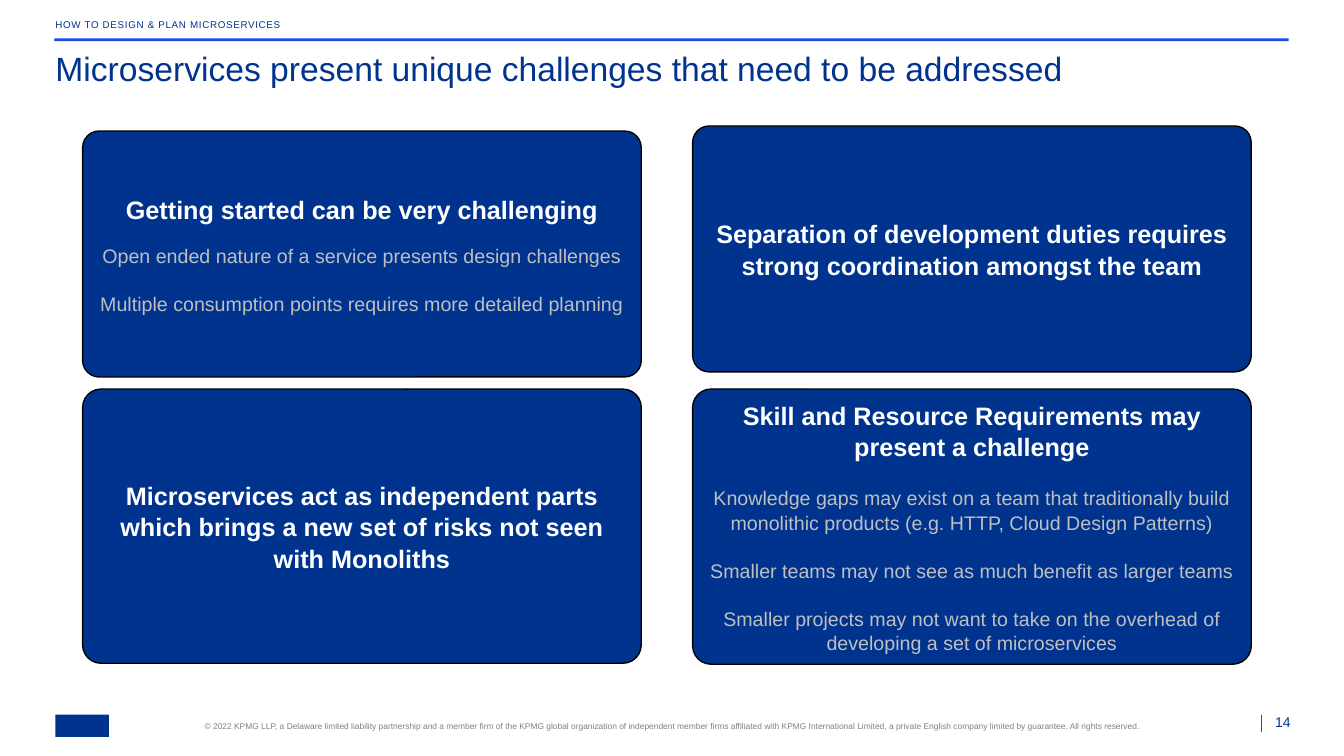
import pptx
import pptx.util
import pptx.dml.color
import pptx.enum.shapes
import pptx.enum.text
from lxml import etree

Inches, Pt = pptx.util.Inches, pptx.util.Pt
ALIGN = pptx.enum.text.PP_ALIGN
ANCHOR = pptx.enum.text.MSO_ANCHOR
SHAPE = pptx.enum.shapes.MSO_SHAPE

# Content
SECTION = "HOW TO DESIGN & PLAN MICROSERVICES"
TITLE = "Microservices present unique challenges that need to be addressed"
COPYRIGHT = (
    "© 2022 KPMG LLP, a Delaware limited liability partnership and a member firm "
    "of the KPMG global organization of independent member firms affiliated with "
    "KPMG International Limited, a private English company limited by guarantee. "
    "All rights reserved."
)
PAGE = "14"
# Each challenge: column, top, height, heading, gap under heading (pt), details
CHALLENGES = [
    (0, 1.3, 2.44, "Getting started can be very challenging", 13.2, [
        "Open ended nature of a service presents design challenges",
        "Multiple consumption points requires more detailed planning",
    ]),
    (1, 1.25, 2.44, "Separation of development duties requires strong "
     "coordination amongst the team", 0, []),
    (0, 3.86, 2.72, "Microservices act as independent parts which brings a new "
     "set of risks not seen with Monoliths", 0, []),
    (1, 3.86, 2.73, "Skill and Resource Requirements may present a challenge", 16.8, [
        "Knowledge gaps may exist on a team that traditionally build monolithic "
        "products (e.g. HTTP, Cloud Design Patterns)",
        "Smaller teams may not see as much benefit as larger teams",
        "Smaller projects may not want to take on the overhead of developing a "
        "set of microservices",
    ]),
]
COLORS = {"navy": "00338D", "blue": "1E49E2", "white": "FFFFFF",
          "silver": "BFBFBF", "gray": "808080", "black": "000000"}

# Layout
MARGIN, CONTENT_WIDTH = 0.55, 12.24
CARD_LEFT, CARD_STEP, CARD_WIDTH = 0.82, 6.05, 5.54
CORNER, CARD_INSET = 0.067, 0.06
DETAIL_GAP, LINE_SPACING = 16.8, 1.04


def color(name):
    return pptx.dml.color.RGBColor.from_string(COLORS[name])


def style(paragraph, size, color_name, align=ALIGN.LEFT, bold=False):
    paragraph.alignment = align
    for run in paragraph.runs:
        run.font.name = "Arial"
        run.font.size = Pt(size)
        run.font.bold = bold
        run.font.color.rgb = color(color_name)


def set_frame(frame, anchor, inset=0):
    frame.word_wrap = True
    frame.auto_size = pptx.enum.text.MSO_AUTO_SIZE.NONE
    frame.vertical_anchor = anchor
    frame.margin_left = frame.margin_right = Inches(inset)
    frame.margin_top = frame.margin_bottom = Inches(inset)


def add_label(slide, box, text, size, color_name, align, anchor):
    label = slide.shapes.add_textbox(*map(Inches, box))
    set_frame(label.text_frame, anchor)
    label.text_frame.text = text
    paragraph = label.text_frame.paragraphs[0]
    style(paragraph, size, color_name, align)
    return paragraph


def add_block(slide, kind, box, fill, outline=None):
    block = slide.shapes.add_shape(kind, *map(Inches, box))
    block.shadow.inherit = False
    block.fill.solid()
    block.fill.fore_color.rgb = color(fill)
    if outline:
        block.line.color.rgb = color(outline)
        block.line.width = Pt(1)
    else:
        block.line.fill.background()
    return block


def add_card(slide, column, top, height, heading, heading_gap, details):
    left = CARD_LEFT + column * CARD_STEP
    card = add_block(slide, SHAPE.ROUNDED_RECTANGLE,
                     (left, top, CARD_WIDTH, height), "navy", "black")
    card.adjustments[0] = CORNER
    frame = card.text_frame
    set_frame(frame, ANCHOR.MIDDLE, CARD_INSET)
    frame.text = "\n".join([heading] + details)
    for index, paragraph in enumerate(frame.paragraphs):
        paragraph.line_spacing = LINE_SPACING
        if index == 0:
            style(paragraph, 18, "white", ALIGN.CENTER, bold=True)
        else:
            style(paragraph, 14, "silver", ALIGN.CENTER)
            paragraph.space_before = Pt(heading_gap if index == 1 else DETAIL_GAP)


def main():
    deck = pptx.Presentation()
    deck.slide_width, deck.slide_height = Inches(13.33), Inches(7.5)
    slide = deck.slides.add_slide(deck.slide_layouts[5])

    # Footer: mark, copyright, divider and page number
    add_block(slide, SHAPE.RECTANGLE, (MARGIN, 7.09, 0.53, 0.22), "navy")
    add_label(slide, (2, 7.15, 9.33, 0.1), COPYRIGHT, 6, "gray",
              ALIGN.CENTER, ANCHOR.TOP)
    divider = slide.shapes.add_connector(
        pptx.enum.shapes.MSO_CONNECTOR.STRAIGHT,
        Inches(12.51), Inches(7.09), Inches(12.51), Inches(7.26))
    divider.line.color.rgb = color("blue")
    divider.line.width = Pt(0.5)
    etree.SubElement(divider.element.spPr, pptx.oxml.ns.qn("a:effectLst"))
    add_label(slide, (12.53, 7.09, 0.27, 0.16), PAGE, 10, "navy",
              ALIGN.RIGHT, ANCHOR.BOTTOM)

    # Header: section name, rule and title
    add_block(slide, SHAPE.RECTANGLE, (0.54, 0.38, CONTENT_WIDTH, 0.03), "blue")
    section = add_label(slide, (MARGIN, 0.18, CONTENT_WIDTH, 0.12), SECTION, 7,
                        "navy", ALIGN.LEFT, ANCHOR.BOTTOM)
    section.line_spacing = Pt(7.7)
    section.runs[0].font._element.set("spc", "50")
    title = slide.shapes.title
    title.left, title.top = Inches(MARGIN), Inches(0.48)
    title.width, title.height = Inches(CONTENT_WIDTH), Inches(0.77)
    set_frame(title.text_frame, ANCHOR.TOP)
    title.text_frame.text = TITLE
    style(title.text_frame.paragraphs[0], 24, "navy")

    # Challenge cards
    for challenge in CHALLENGES:
        add_card(slide, *challenge)

    deck.save("out.pptx")


if __name__ == "__main__":
    main()
